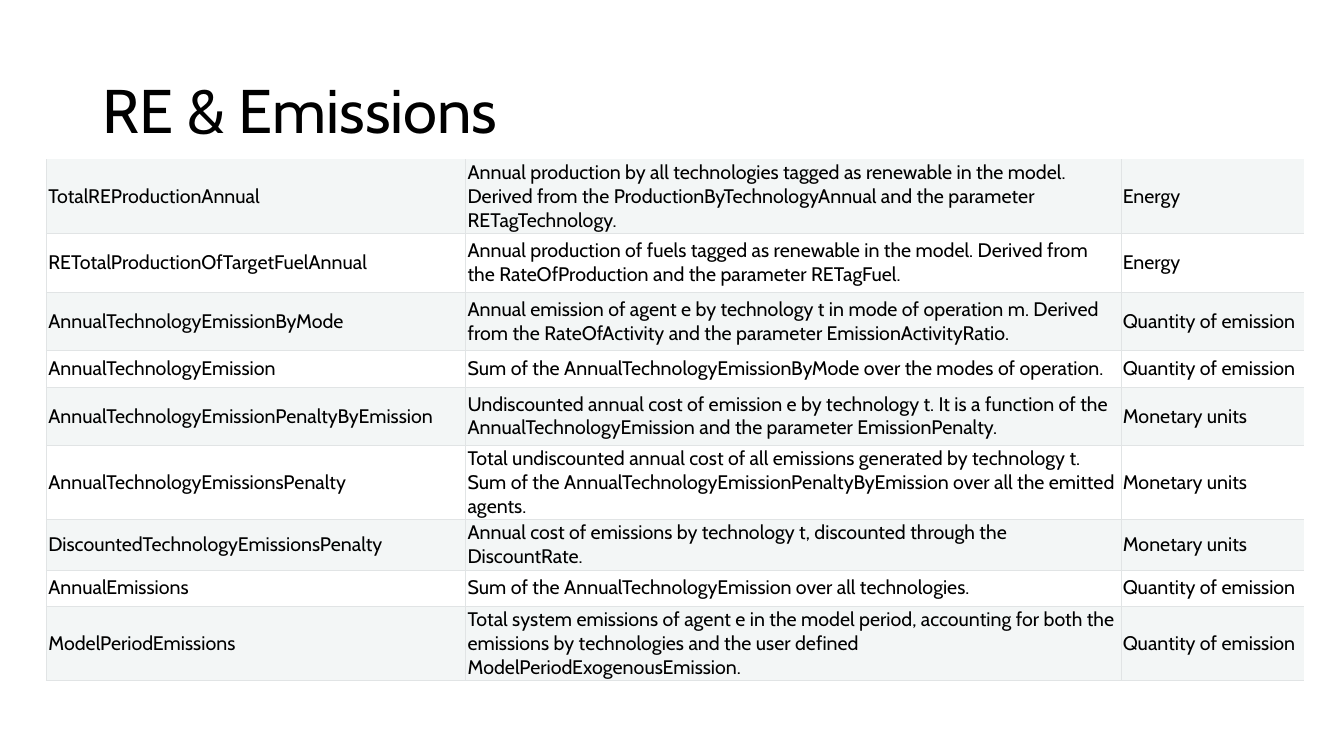
from pptx import Presentation
from pptx.dml.color import RGBColor
from pptx.enum.text import MSO_ANCHOR as Anchor
from pptx.oxml import parse_xml
from pptx.oxml.ns import nsdecls
from pptx.util import Pt

FONT = "Cabin"
BLACK = RGBColor(0x00, 0x00, 0x00)
BAND = RGBColor(0xF3, 0xF6, 0xF6)
RULE = RGBColor(0xE1, 0xE4, 0xE5)
PLAIN = "{2D5ABB26-0587-4C30-8999-92F81FD0307C}"  # no style, no grid
THIN, THICK = 0.3, 1

WIDTHS = [299.5, 468, 131]
ROWS = [
    (53, "TotalREProductionAnnual",
     "Annual production by all technologies tagged as renewable in the model. "
     "Derived from the ProductionByTechnologyAnnual and the parameter RETagTechnology.",
     "Energy"),
    (41.8, "RETotalProductionOfTargetFuelAnnual",
     "Annual production of fuels tagged as renewable in the model. "
     "Derived from the RateOfProduction and the parameter RETagFuel.",
     "Energy"),
    (41.8, "AnnualTechnologyEmissionByMode",
     "Annual emission of agent e by technology t in mode of operation m. "
     "Derived from the RateOfActivity and the parameter EmissionActivityRatio.",
     "Quantity of emission"),
    (25.9, "AnnualTechnologyEmission",
     "Sum of the AnnualTechnologyEmissionByMode over the modes of operation.",
     "Quantity of emission"),
    (41.8, "AnnualTechnologyEmissionPenaltyByEmission",
     "Undiscounted annual cost of emission e by technology t. It is a function of the "
     "AnnualTechnologyEmission and the parameter EmissionPenalty.",
     "Monetary units"),
    (53, "AnnualTechnologyEmissionsPenalty",
     "Total undiscounted annual cost of all emissions generated by technology t. "
     "Sum of the AnnualTechnologyEmissionPenaltyByEmission over all the emitted agents.",
     "Monetary units"),
    (36, "DiscountedTechnologyEmissionsPenalty",
     "Annual cost of emissions by technology t, discounted through the DiscountRate.",
     "Monetary units"),
    (25.9, "AnnualEmissions",
     "Sum of the AnnualTechnologyEmission over all technologies.",
     "Quantity of emission"),
    (53, "ModelPeriodEmissions",
     "Total system emissions of agent e in the model period, accounting for both the "
     "emissions by technologies and the user defined ModelPeriodExogenousEmission.",
     "Quantity of emission"),
]


def style(para, size):
    font = para.runs[0].font
    font.name, font.size = FONT, Pt(size)
    font.color.rgb = BLACK


def border(cell, side, width):
    cell._tc.get_or_add_tcPr().append(parse_xml(
        f'<a:ln{side} {nsdecls("a")} w="{Pt(width)}"><a:solidFill>'
        f'<a:srgbClr val="{RULE}"/></a:solidFill></a:ln{side}>'))


prs = Presentation()
prs.slide_width, prs.slide_height = Pt(960), Pt(540)
slide = prs.slides.add_slide(prs.slide_layouts[6])

title = slide.shapes.add_textbox(Pt(66), Pt(28.8), Pt(828), Pt(104.4)).text_frame
title.word_wrap = True
title.vertical_anchor = Anchor.MIDDLE
title.text = "RE & Emissions"
title.paragraphs[0].line_spacing = 0.9
style(title.paragraphs[0], 44)

high = sum(row[0] for row in ROWS)
table = slide.shapes.add_table(len(ROWS), len(WIDTHS), Pt(33.1), Pt(113.8),
                               Pt(sum(WIDTHS)), Pt(high)).table
table.first_row = table.horz_banding = False
table._tbl.tblPr.find("{*}tableStyleId").text = PLAIN
for col, width in zip(table.columns, WIDTHS):
    col.width = Pt(width)

last_row, last_col = len(ROWS) - 1, len(WIDTHS) - 1
for r, (height, *texts) in enumerate(ROWS):
    table.rows[r].height = Pt(height)
    for c, text in enumerate(texts):
        cell = table.cell(r, c)
        cell.text = text
        style(cell.text_frame.paragraphs[0], 14)
        cell.vertical_anchor = Anchor.MIDDLE
        cell.margin_left = cell.margin_right = Pt(1.4)
        cell.margin_top = cell.margin_bottom = Pt(0.7)
        # The outer top and right edges stay open
        border(cell, "L", THICK if c == 0 else THIN)
        if c < last_col:
            border(cell, "R", THIN)
        if r > 0:
            border(cell, "T", THIN)
        border(cell, "B", THICK if r == last_row else THIN)
        if r % 2 == 0:
            cell.fill.solid()
            cell.fill.fore_color.rgb = BAND
        else:
            cell.fill.background()

prs.save("out.pptx")
